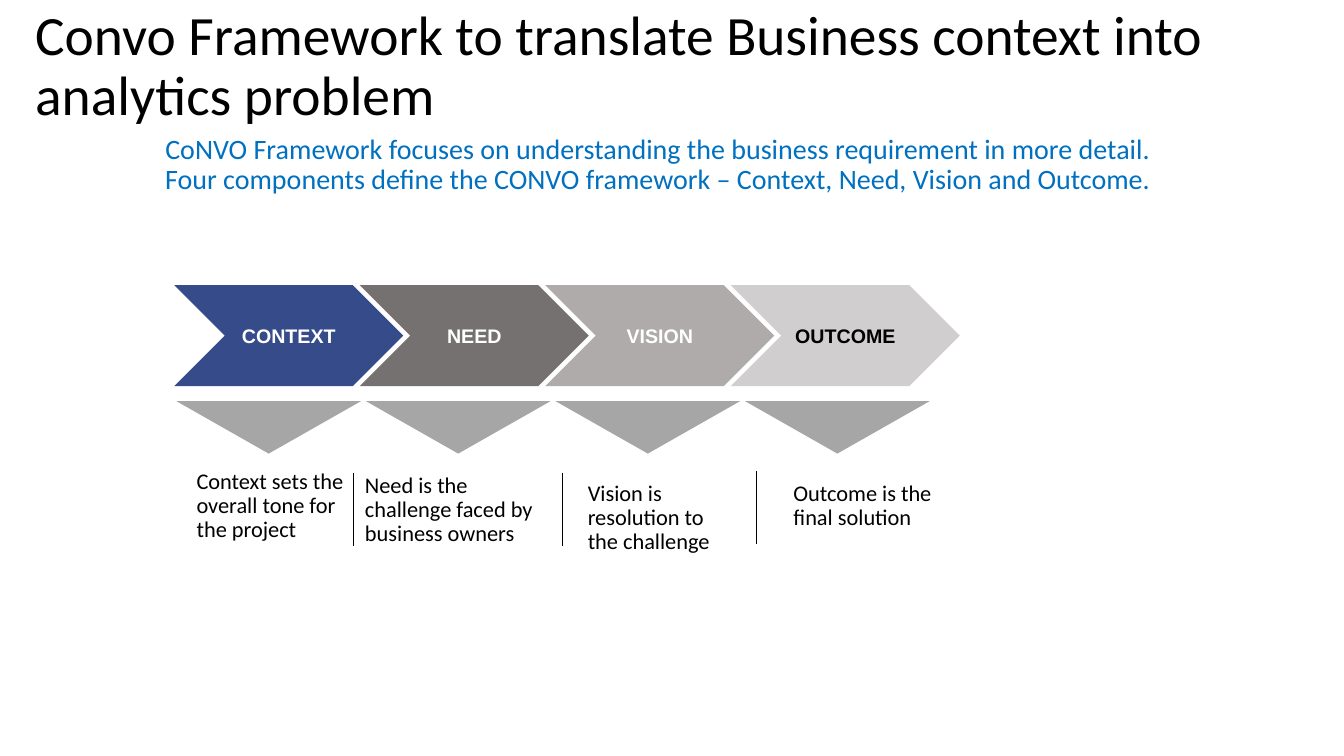
"""Build the CoNVO framework slide: four chevrons, pointers and descriptions."""
from lxml import etree
from pptx import Presentation
from pptx.dml.color import RGBColor
from pptx.enum.shapes import MSO_CONNECTOR, MSO_SHAPE
from pptx.enum.text import MSO_ANCHOR, PP_ALIGN
from pptx.oxml.ns import qn
from pptx.util import Inches, Pt

LEFT, CENTER = PP_ALIGN.LEFT, PP_ALIGN.CENTER
TOP, MIDDLE = MSO_ANCHOR.TOP, MSO_ANCHOR.MIDDLE
CHEVRON, TRIANGLE = MSO_SHAPE.CHEVRON, MSO_SHAPE.ISOSCELES_TRIANGLE
STRAIGHT = MSO_CONNECTOR.STRAIGHT

THEME = {
    "body_font": "Calibri", "label_font": "Arial",
    "title_size": 39.6, "intro_size": 20, "detail_size": 16, "label_size": 14,
    "black": "000000", "white": "FFFFFF", "intro": "0070C0", "pointer": "A6A6A6",
}
CHEVRON_LEFT, CHEVRON_STEP = 1.73, 1.84
POINTER_LEFT, POINTER_STEP = 1.75, 1.88
COMPONENTS = [
    ("CONTEXT", "364C8A", THEME["white"],
     "Context sets the overall tone for the project", (1.75, 4.5, 1.9, 1.05)),
    ("NEED", "767171", THEME["white"],
     "Need is the challenge faced by business owners", (3.42, 4.54, 2.25, 1.05)),
    ("VISION", "AFABAB", THEME["white"],
     "Vision is resolution to the challenge", (5.63, 4.62, 1.87, 1.05)),
    ("OUTCOME", "D0CECE", THEME["black"],
     "Outcome is the final solution", (7.67, 4.62, 1.87, 0.81)),
]
DIVIDERS = [(3.5, 4.69), (5.58, 4.69), (7.5, 4.67)]
DIVIDER_HEIGHT = 0.73


def write_text(shape, lines, font, size, color, align=LEFT, anchor=TOP,
               margins=(0.2, 0.16), spacing=0.9, bold=False):
    """Fill a shape with uniformly styled paragraphs."""
    frame = shape.text_frame
    frame.word_wrap = True
    frame.vertical_anchor = anchor
    frame.margin_left = frame.margin_right = Inches(margins[0])
    frame.margin_top = frame.margin_bottom = Inches(margins[1])
    frame.text = "\n".join(lines)
    for paragraph in frame.paragraphs:
        paragraph.alignment = align
        paragraph.line_spacing = spacing
        paragraph.font.name = font
        paragraph.font.size = Pt(size)
        paragraph.font.bold = bold
        paragraph.font.color.rgb = RGBColor.from_string(color)


def add_filled_shape(kind, left, top, width, height, color):
    """Add a flat preset shape without outline or shadow."""
    shape = slide.shapes.add_shape(
        kind, Inches(left), Inches(top), Inches(width), Inches(height))
    shape.shadow.inherit = False
    shape.fill.solid()
    shape.fill.fore_color.rgb = RGBColor.from_string(color)
    shape.line.fill.background()
    return shape


presentation = Presentation()
presentation.slide_width = Inches(13.33)
presentation.slide_height = Inches(7.5)
slide = presentation.slides.add_slide(presentation.slide_layouts[6])

title = slide.shapes.add_textbox(Inches(0.25), Inches(0.31), Inches(12.71), Inches(0.72))
write_text(title, ["Convo Framework to translate Business context into analytics problem"],
           THEME["body_font"], THEME["title_size"], THEME["black"],
           anchor=MIDDLE, margins=(0.1, 0.05))

intro = slide.shapes.add_textbox(Inches(0.52), Inches(1.18), Inches(12.01), Inches(0.93))
write_text(intro, [
    "CoNVO Framework focuses on understanding the business requirement in more detail.",
    "Four components define the CONVO framework – Context, Need, Vision and Outcome.",
], THEME["body_font"], THEME["intro_size"], THEME["intro"], align=CENTER)

for column, (label, fill, label_color, detail, box) in enumerate(COMPONENTS):
    chevron = add_filled_shape(
        CHEVRON, CHEVRON_LEFT + column * CHEVRON_STEP, 2.83, 2.27, 1, fill)
    write_text(chevron, [label], THEME["label_font"], THEME["label_size"], label_color,
               align=CENTER, anchor=MIDDLE, margins=(0.1, 0), spacing=1.0, bold=True)

    pointer = add_filled_shape(
        TRIANGLE, POINTER_LEFT + column * POINTER_STEP, 3.98, 1.83, 0.52, THEME["pointer"])
    pointer.rotation = 180

    description = slide.shapes.add_textbox(*[Inches(length) for length in box])
    write_text(description, [detail], THEME["body_font"], THEME["detail_size"], THEME["black"])

for left, top in DIVIDERS:
    divider = slide.shapes.add_connector(
        STRAIGHT, Inches(left), Inches(top), Inches(left), Inches(top + DIVIDER_HEIGHT))
    divider.line.color.rgb = RGBColor.from_string(THEME["black"])
    divider.line.width = Pt(0.5)
    etree.SubElement(divider.element.spPr, qn("a:effectLst"))

presentation.save("out.pptx")
